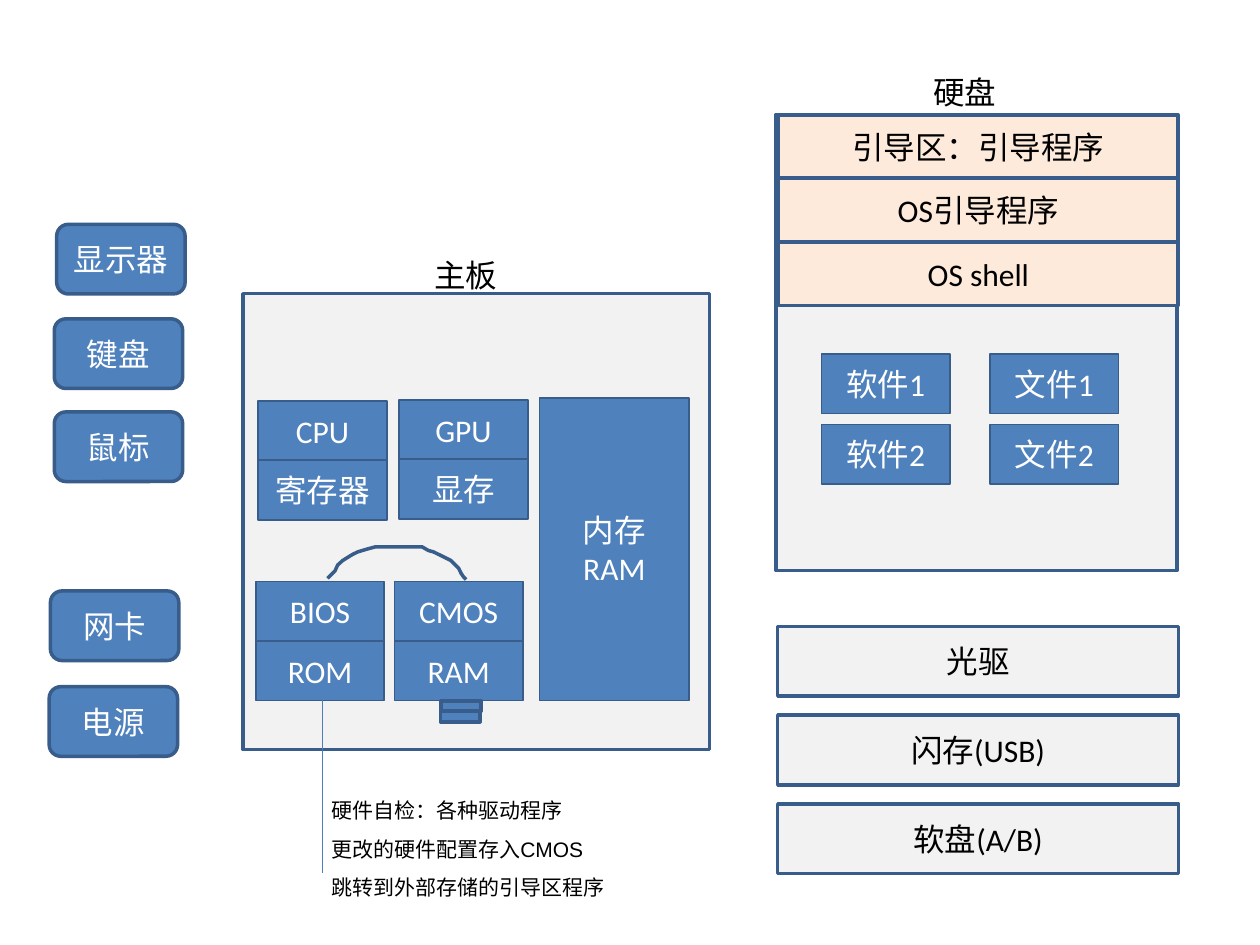
from lxml.etree import SubElement
from pptx import Presentation
from pptx.dml.color import RGBColor
from pptx.enum.shapes import MSO_CONNECTOR as Connector, MSO_SHAPE as Shape
from pptx.enum.text import MSO_ANCHOR as Anchor, MSO_AUTO_SIZE as AutoSize, PP_ALIGN as Align
from pptx.oxml.ns import qn
from pptx.util import Pt

BLUE, GREY, PEACH = "4F81BD", "F2F2F2", "FDEADA"
EDGE, WIRE, WHITE, BLACK = "385D8A", "4A7EBB", "FFFFFF", "000000"

PANEL = dict(fill=GREY, color=BLACK, weight=2)
LAYER = dict(fill=PEACH, color=BLACK, weight=2)
CHIP = dict(fill=BLUE, color=WHITE, weight=1)
BATTERY = dict(fill=BLUE, color=WHITE, weight=2)
DEVICE = dict(fill=BLUE, color=WHITE, weight=2, kind=Shape.ROUNDED_RECTANGLE)

CHIP_SIZE = 73.4, 34
BOARD = 139, 167.8, 266.4, 260.6
DISK = 443.5, 65.5, 229, 260.6
MEMORY = 308.2, 227.5, 85.7, 172.8

devices = [
    ("显示器", 32.4, 128.2),
    ("键盘", 31, 182.2),
    ("鼠标", 31, 235.4),
    ("网卡", 28.8, 337.7),
    ("电源", 28.1, 392.4),
]
chip_pairs = [
    (147.6, 229, ["CPU", "寄存器"]),
    (146.2, 332.3, ["BIOS", "ROM"]),
    (225.4, 332.3, ["CMOS", "RAM"]),
    (228.2, 228.4, ["GPU", "显存"]),
]
disk_layers = ["引导区：引导程序", "OS引导程序", "OS shell"]
disk_files = [["软件1", "软件2"], ["文件1", "文件2"]]
drives = ["光驱", "闪存(USB)", "软盘(A/B)"]
battery_cells = [(252, 400.5, 23), (251.8, 406.7, 22.5)]
labels = [
    ("主板", 241.2, 142.6, 57.6, 28.8, 18),
    ("硬盘", 526.3, 38.2, 57.6, 28.8, 18),
    ("硬件自检：各种驱动程序", 182.2, 452.4, 164.2, 21.6, 12),
    ("更改的硬件配置存入CMOS", 182.2, 474.3, 164.2, 21.6, 12),
    ("跳转到外部存储的引导区程序", 182.6, 496.2, 181.4, 21.6, 12),
]
arc_points = [
    (187.2, 330.5), (189.4, 328.3), (191.5, 326.2), (193, 322.9), (195.8, 320.4),
    (198, 319), (201.6, 316.8), (204.5, 315.4), (209.5, 313.9), (214.6, 312.5),
    (241.2, 312.5), (244.8, 314.6), (247.7, 315.4), (252, 317.5), (257.8, 320.4),
    (259.9, 322.6), (262.1, 324.7), (263.5, 327.6), (265, 329.8), (266.4, 331.2),
]


def rgb(value):
    return RGBColor.from_string(value)


def set_all(target, **values):
    for name, value in values.items():
        setattr(target, name, value)


def write(frame, text, size, font, color, align):
    frame.text = text
    for para in frame.paragraphs:
        para.alignment = align
        for span in para.runs:
            set_all(span.font, size=Pt(size), name=font)
            span.font.color.rgb = rgb(color)


def outline(shape, color, weight):
    shape.line.color.rgb = rgb(color)
    shape.line.width = Pt(weight)


def add_box(left, top, width, height, fill, color, weight, text="", kind=Shape.RECTANGLE):
    box = slide.shapes.add_shape(kind, Pt(left), Pt(top), Pt(width), Pt(height))
    box.shadow.inherit = False
    box.fill.solid()
    box.fill.fore_color.rgb = rgb(fill)
    outline(box, EDGE, weight)
    if text:
        set_all(box.text_frame, vertical_anchor=Anchor.MIDDLE, word_wrap=True)
        write(box.text_frame, text, 18, "Calibri", color, Align.CENTER)


def add_column(texts, left, top, width, height, pitch, style):
    for row, text in enumerate(texts):
        add_box(left, top + row * pitch, width, height, text=text, **style)


def add_label(text, left, top, width, height, size):
    box = slide.shapes.add_textbox(Pt(left), Pt(top), Pt(width), Pt(height))
    set_all(box.text_frame, word_wrap=False, auto_size=AutoSize.SHAPE_TO_FIT_TEXT)
    write(box.text_frame, text, size, "Arial", BLACK, Align.LEFT)


deck = Presentation()
set_all(deck, slide_width=Pt(720), slide_height=Pt(540))
slide = deck.slides.add_slide(deck.slide_layouts[6])

add_box(*BOARD, **PANEL)
for left, top, pair in chip_pairs:
    add_column(pair, left, top, *CHIP_SIZE, 34, CHIP)
add_box(*MEMORY, text="内存\nRAM", **CHIP)
for left, top, width in battery_cells:
    add_box(left, top, width, 5.8, **BATTERY)

for name, left, top in devices:
    add_box(left, top, 73.4, 39.8, text=name, **DEVICE)

add_box(*DISK, **PANEL)
add_column(disk_layers, 445, 65.6, 228.2, 36.2, 36.4, LAYER)
for column, names in enumerate(disk_files):
    add_column(names, 469.4 + column * 96.4, 202.4, *CHIP_SIZE, 40.2, CHIP)
add_column(drives, 444.4, 358, 229, 39.8, 50.7, PANEL)

wire = slide.shapes.add_connector(Connector.STRAIGHT, Pt(184.3), Pt(400.3), Pt(184.3), Pt(499))
outline(wire, WIRE, 0.75)
SubElement(wire.element.spPr, qn("a:effectLst"))

start, *rest = [(Pt(x), Pt(y)) for x, y in arc_points]
builder = slide.shapes.build_freeform(*start)
builder.add_line_segments(rest, close=False)
arc = builder.convert_to_shape()
arc.shadow.inherit = False
arc.fill.background()
outline(arc, EDGE, 2)

for label in labels:
    add_label(*label)

deck.save("out.pptx")
